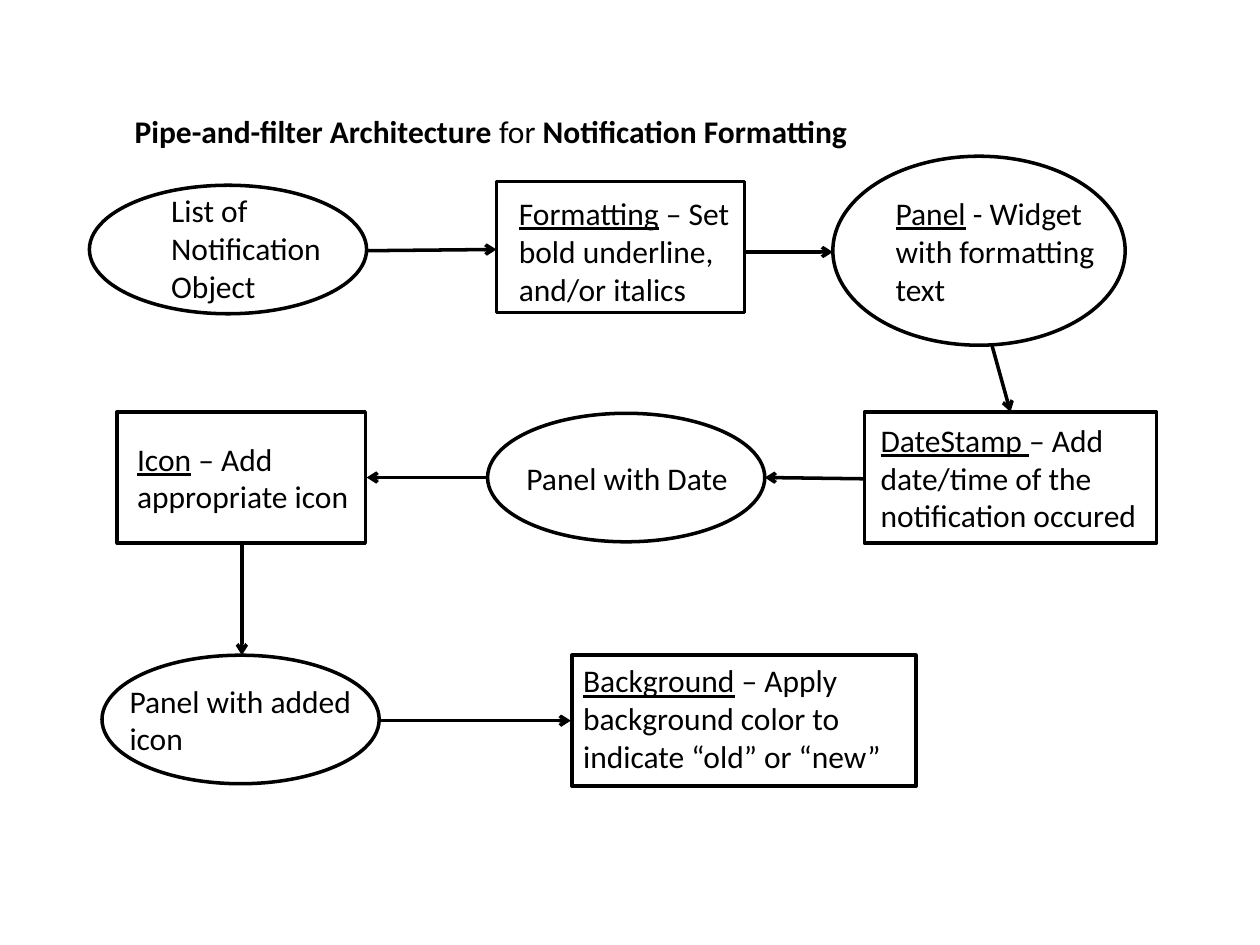
"""Build a pipe-and-filter flow slide."""
from dataclasses import dataclass

from lxml import etree
from pptx import Presentation
from pptx.dml.color import RGBColor
from pptx.enum import shapes, text
from pptx.oxml import ns
from pptx.util import Inches, Pt


@dataclass(frozen=True)
class Theme:
    """Hold the colours, font and sizes of the slide."""
    ink: RGBColor = RGBColor(0, 0, 0)
    font: str = "Calibri"
    size: int = 18
    line: int = 2


THEME = Theme()
OVAL = shapes.MSO_SHAPE.OVAL
RECT = shapes.MSO_SHAPE.RECTANGLE

STAGES = [
    (OVAL, (0.71, 1.47, 2.2, 1.02), (0.55, 0, 1.41, 1.01), False,
     ["List of", "Notification", "Object"], None),
    (RECT, (3.94, 1.44, 1.97, 1.04), (0.08, 0.05, 2.2, 1.01), True,
     [" – Set bold underline, and/or italics"], "Formatting"),
    (OVAL, (6.61, 1.24, 2.32, 1.5), (0.4, 0.25, 2.2, 1.01), True,
     [" - Widget", "with formatting", "text"], "Panel"),
    (RECT, (6.86, 3.27, 2.32, 1.04), (0.03, 0.02, 2.32, 1.01), True,
     ["– Add", "date/time of the", "notification occured"], "DateStamp "),
    (OVAL, (3.87, 3.28, 2.2, 1.02), (0.21, 0.31, 2.03, 0.4), True,
     ["Panel with Date"], None),
    (RECT, (0.93, 3.27, 1.97, 1.04), (0.06, 0.17, 1.9, 0.71), False,
     [" – Add", "appropriate icon"], "Icon"),
    (OVAL, (0.81, 5.2, 2.2, 1.02), (0.12, 0.16, 2.03, 0.71), True,
     ["Panel with added icon"], None),
    (RECT, (4.54, 5.2, 2.73, 1.04), (-0.01, 0, 2.74, 1.01), True,
     [" – Apply background color to indicate “old” or “new”"], "Background"),
]

PIPES = [
    (2.91, 1.99, 3.94, 1.98),
    (5.91, 2, 6.61, 2),
    (7.87, 2.73, 8.02, 3.27),
    (6.86, 3.8, 6.07, 3.79),
    (3.87, 3.79, 2.91, 3.79),
    (1.92, 4.31, 1.92, 5.2),
    (3.02, 5.72, 4.53, 5.72),
]


def write(para, words, bold=False, under=False):
    """Add a run of words to a paragraph."""
    run = para.add_run()
    run.text = words
    font = run.font
    font.name, font.size = THEME.font, Pt(THEME.size)
    font.bold, font.underline = bold, under
    font.color.rgb = THEME.ink


def frame(slide, box, wrap=True):
    """Add a text box and return its text frame."""
    area = slide.shapes.add_textbox(*map(Inches, box)).text_frame
    area.word_wrap = wrap
    area.auto_size = text.MSO_AUTO_SIZE.SHAPE_TO_FIT_TEXT
    return area


def title(slide, box):
    """Place the heading in its box."""
    para = frame(slide, box).paragraphs[0]
    write(para, "Pipe-and-filter Architecture ", bold=True)
    write(para, "for ")
    write(para, "Notification Formatting", bold=True)


def stage(slide, kind, box, inset, wrap, lines, name):
    """Place one outlined step with its label offset from the box corner."""
    shape = slide.shapes.add_shape(kind, *map(Inches, box))
    shape.shadow.inherit = False
    shape.fill.background()
    shape.line.color.rgb = THEME.ink
    shape.line.width = Pt(THEME.line)
    left, top, width, height = inset
    area = frame(slide, (box[0] + left, box[1] + top, width, height), wrap)
    for i, words in enumerate(lines):
        para = area.add_paragraph() if i else area.paragraphs[0]
        if name and i == 0:
            write(para, name, under=True)
        write(para, words)


def pipe(slide, ends):
    """Draw an arrow between two points."""
    link = slide.shapes.add_connector(
        shapes.MSO_CONNECTOR.STRAIGHT, *map(Inches, ends))
    link.line.color.rgb = THEME.ink
    link.line.width = Pt(THEME.line)
    etree.SubElement(link.line._get_or_add_ln(), ns.qn("a:tailEnd"), type="arrow")
    etree.SubElement(link._element.spPr, ns.qn("a:effectLst"))


def main():
    """Build and save the slide."""
    deck = Presentation()
    deck.slide_width, deck.slide_height = Inches(10), Inches(7.5)
    slide = deck.slides.add_slide(deck.slide_layouts[6])
    title(slide, (0.97, 0.84, 6.3, 0.4))
    for step in STAGES:
        stage(slide, *step)
    for ends in PIPES:
        pipe(slide, ends)
    deck.save("out.pptx")


if __name__ == "__main__":
    main()
